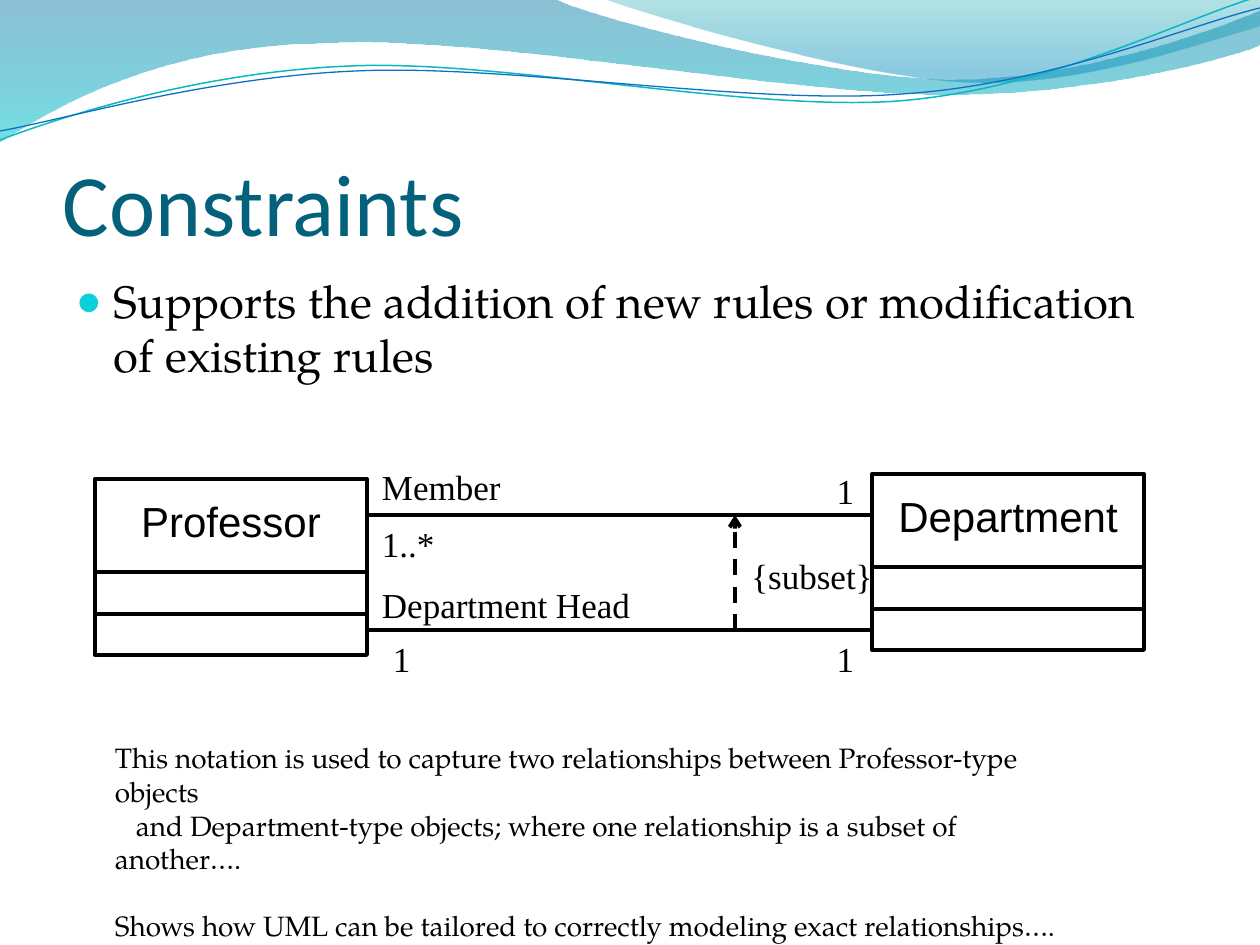
from dataclasses import dataclass

from lxml import etree
from pptx import Presentation
from pptx.dml.color import RGBColor
from pptx.enum.dml import MSO_LINE
from pptx.enum.shapes import MSO_CONNECTOR, MSO_SHAPE
from pptx.enum.text import MSO_ANCHOR, PP_ALIGN
from pptx.oxml.ns import qn
from pptx.util import Emu, Pt

SCALE = 914400 / 126  # EMU per px
LEFT, CENTER, RIGHT = PP_ALIGN.LEFT, PP_ALIGN.CENTER, PP_ALIGN.RIGHT
TOP, BOTTOM = MSO_ANCHOR.TOP, MSO_ANCHOR.BOTTOM
RECTANGLE, STRAIGHT, DASH = MSO_SHAPE.RECTANGLE, MSO_CONNECTOR.STRAIGHT, MSO_LINE.DASH
BLACK = "000000"
SERIF, BODY_FONT = "Times New Roman", "TeX Gyre Pagella"
DIAGRAM_LINE = 2.25
Point = tuple[int, int]


@dataclass
class Band:
    """Filled curve; a segment has one end point or three Bezier points."""
    start: Point
    segments: list[tuple[Point, ...]]
    stops: list[tuple[float, str, int]]  # position, colour, opacity in percent


@dataclass
class Wave:
    start: Point
    segments: list[tuple[Point, ...]]
    color: str
    width: float


@dataclass
class ClassBox:
    name: str
    left: int
    top: int


@dataclass
class Label:
    text: str
    left: int
    top: int
    width: int = 218
    align: PP_ALIGN = LEFT


BANDS = [
    Band((0, 0), [((554, -1),),
                  ((600, 21), (837, 79), (955, 79)),
                  ((1075, 79), (1207, 33), (1260, 11)),
                  ((1261, 45),),
                  ((1239, 55), (1096, 96), (940, 94)),
                  ((784, 94), (481, 35), (324, 43)),
                  ((163, 45), (58, 105), (-1, 142))],
         [(0, "0074A1", 45), (1, "00C6CF", 55)]),
    Band((604, -1), [((641, 14), (859, 78), (969, 82)),
                     ((1079, 87), (1211, 40), (1260, 26)),
                     ((1260, 0),)],
         [(0, "00A1A9", 30), (0.8, "008BBF", 45)]),
]
WAVES = [
    Wave((0, 140), [((60, 117), (199, 72), (349, 66)),
                    ((498, 59), (747, 112), (898, 101)),
                    ((1050, 89), (1182, 19), (1257, -3))], "0AB8BF", 0.85),
    Wave((0, 131), [((59, 121), (207, 77), (357, 71)),
                    ((508, 64), (752, 106), (903, 94)),
                    ((1053, 84), (1186, 26), (1260, 8))], "0F6FC6", 0.75),
]
CLASS_WIDTH, CLASS_HEIGHT, DIVIDERS = 272, 176, (93, 135)
CLASSES = [ClassBox("Professor", 95, 479), ClassBox("Department", 872, 474)]
MEMBER_Y, HEAD_Y, SUBSET_X = 515, 630, 735
LABELS = [
    Label("Member", 367, 457),
    Label("Department Head", 367, 576, 312),
    Label("{subset}", 703, 546, align=CENTER),
    Label("1..*", 367, 514),
    Label("1", 378, 629),
    Label("1", 651, 462, align=RIGHT),
    Label("1", 651, 629, align=RIGHT),
]


def px(value: float) -> Emu:
    return Emu(round(value * SCALE))


def rgb(color: str) -> RGBColor:
    return RGBColor.from_string(color)


def draw_outline(slide, curve: Band | Wave, close: bool):
    builder = slide.shapes.build_freeform(*curve.start, scale=SCALE)
    points = [point for segment in curve.segments for point in segment]
    builder.add_line_segments(points, close=close)
    shape = builder.convert_to_shape()
    shape.shadow.inherit = False

    # Turn each run of three line points into one Bezier segment
    steps = iter(list(shape._element.spPr.iter(qn("a:lnTo"))))
    for segment in curve.segments:
        group = [next(steps) for _ in segment]
        if len(group) == 3:
            bezier = etree.Element(qn("a:cubicBezTo"))
            group[0].addprevious(bezier)
            for step in group:
                bezier.append(step[0])
                step.getparent().remove(step)
    return shape


def draw_band(slide, band: Band) -> None:
    shape = draw_outline(slide, band, True)
    shape.line.fill.background()
    shape.fill.gradient()
    shape.fill.gradient_angle = 270
    for stop, (position, color, _) in zip(shape.fill.gradient_stops, band.stops):
        stop.position = position
        stop.color.rgb = rgb(color)
    for node, (_, _, opacity) in zip(shape._element.spPr.iter(qn("a:srgbClr")), band.stops):
        etree.SubElement(node, qn("a:alpha"), val=str(opacity * 1000))


def draw_wave(slide, wave: Wave) -> None:
    shape = draw_outline(slide, wave, False)
    shape.fill.background()
    shape.line.color.rgb = rgb(wave.color)
    shape.line.width = Pt(wave.width)


def draw_line(slide, start: Point, end: Point):
    line = slide.shapes.add_connector(STRAIGHT, *map(px, (*start, *end)))
    line.line.color.rgb = rgb(BLACK)
    line.line.width = Pt(DIAGRAM_LINE)
    etree.SubElement(line._element.spPr, qn("a:effectLst"))
    return line


def add_text(slide, area: tuple[int, int, int, int], texts: list[str], size: int, font: str,
             color: str = BLACK, align: PP_ALIGN = LEFT, anchor: MSO_ANCHOR = TOP,
             insets: tuple[int, int] = (13, 6)):
    box = slide.shapes.add_textbox(*map(px, area))
    frame = box.text_frame
    frame.word_wrap = True
    frame.vertical_anchor = anchor
    frame.margin_left = frame.margin_right = px(insets[0])
    frame.margin_top = frame.margin_bottom = px(insets[1])
    for index, text in enumerate(texts):
        para = frame.paragraphs[0] if index == 0 else frame.add_paragraph()
        para.alignment = align
        span = para.add_run()
        span.text = text
        span.font.size = Pt(size)
        span.font.name = font
        span.font.color.rgb = rgb(color)
    return frame.paragraphs


def draw_class(slide, item: ClassBox) -> None:
    add_text(slide, (item.left, item.top + 11, CLASS_WIDTH, 63), [item.name], 24, "Arial",
             align=CENTER)
    box = slide.shapes.add_shape(
        RECTANGLE, *map(px, (item.left, item.top, CLASS_WIDTH, CLASS_HEIGHT)))
    box.shadow.inherit = False
    box.fill.background()
    box.line.color.rgb = rgb(BLACK)
    box.line.width = Pt(DIAGRAM_LINE)
    for offset in DIVIDERS:
        y = item.top + offset
        draw_line(slide, (item.left, y), (item.left + CLASS_WIDTH, y))


def main() -> None:
    deck = Presentation()
    deck.slide_width, deck.slide_height = px(1260), px(945)
    page = deck.slides.add_slide(deck.slide_layouts[6])

    # Header decoration
    for band in BANDS:
        draw_band(page, band)
    for wave in WAVES:
        draw_wave(page, wave)

    # Class diagram
    for item in CLASSES:
        draw_class(page, item)
    for y in (MEMBER_Y, HEAD_Y):
        draw_line(page, (CLASSES[0].left + CLASS_WIDTH, y), (CLASSES[1].left, y))
    subset = draw_line(page, (SUBSET_X, HEAD_Y), (SUBSET_X, MEMBER_Y))
    subset.line.dash_style = DASH
    etree.SubElement(subset.line._get_or_add_ln(), qn("a:tailEnd"), type="arrow")
    for label in LABELS:
        add_text(page, (label.left, label.top, label.width, 57), [label.text], 20, SERIF,
                 align=label.align, insets=(15, 8))

    # Title and bullet
    add_text(page, (63, 102, 1134, 158), ["Constraints"], 50, "Calibri", "04617B",
             anchor=BOTTOM, insets=(0, 6))
    rule = add_text(page, (63, 267, 1134, 605),
                    ["Supports the addition of new rules or modification of existing rules"],
                    26, BODY_FONT)[0]
    properties = rule._p.get_or_add_pPr()
    properties.set("marL", str(px(38)))
    properties.set("indent", str(px(-38)))
    bullet_color = etree.SubElement(properties, qn("a:buClr"))
    etree.SubElement(bullet_color, qn("a:srgbClr"), val="0BD0D9")
    etree.SubElement(properties, qn("a:buSzPct"), val="95000")
    etree.SubElement(properties, qn("a:buFont"), typeface="Arial")
    etree.SubElement(properties, qn("a:buChar"), char="●")

    # Explanation
    notes = add_text(page, (100, 733, 980, 150), [
        "This notation is used to capture two relationships between Professor-type objects",
        "and Department-type objects; where one relationship is a subset of another….",
        "Shows how UML can be tailored to correctly modeling exact relationships….",
    ], 16, BODY_FONT, insets=(15, 8))
    notes[1]._p.get_or_add_pPr().set("indent", str(px(21)))
    notes[2].space_before = Pt(19)

    deck.save("out.pptx")


if __name__ == "__main__":
    main()
